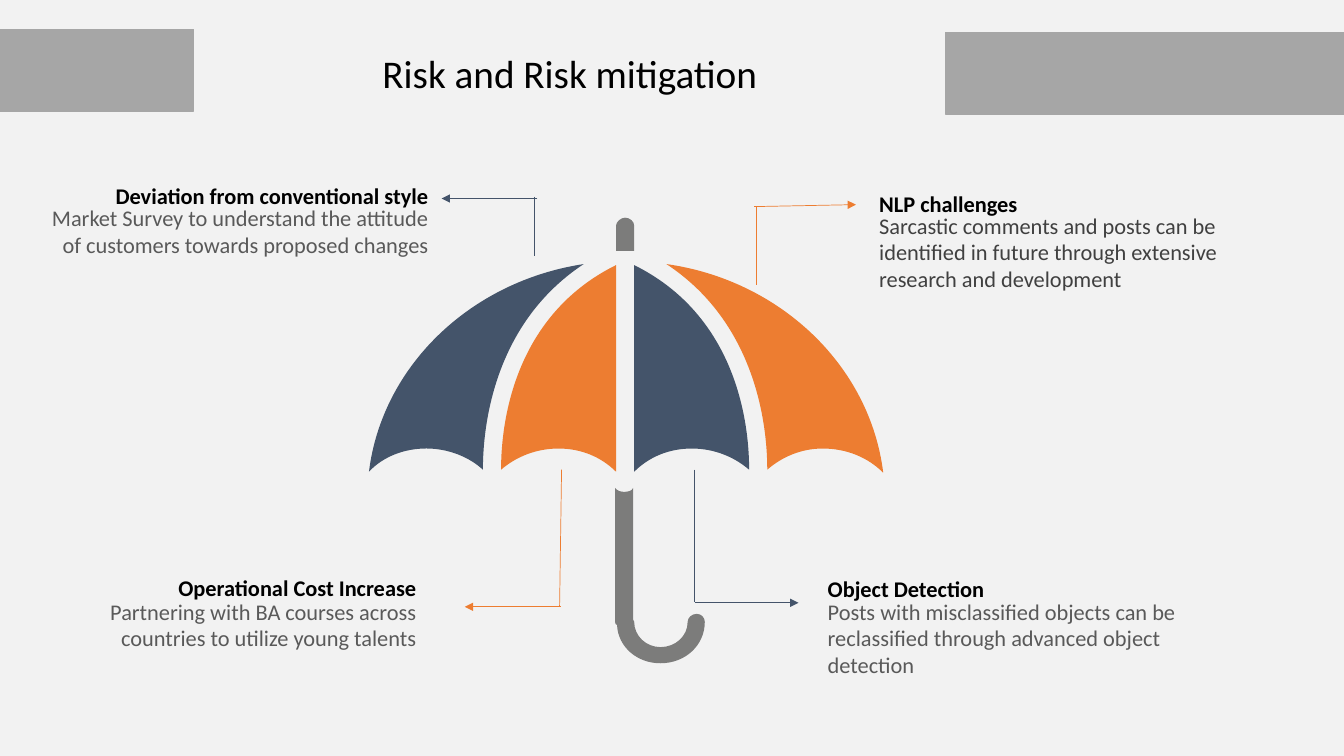
from dataclasses import dataclass

from lxml.etree import SubElement
from pptx import Presentation
from pptx.dml.color import RGBColor
from pptx.enum.shapes import MSO_CONNECTOR, MSO_SHAPE
from pptx.enum.text import MSO_ANCHOR, MSO_AUTO_SIZE, PP_ALIGN
from pptx.oxml.ns import qn
from pptx.util import Inches, Pt


@dataclass(frozen=True)
class Theme:
    font: str = "Calibri"
    title_size: int = 28
    text_size: int = 16
    banner_border: float = 1
    leader_width: float = 0.5
    background: str = "F2F2F2"
    banner: str = "A6A6A6"
    navy: str = "44546A"
    orange: str = "ED7D31"
    handle: str = "7C7C7B"
    heading: str = "000000"
    body: str = "595959"
    dark_body: str = "404040"


THEME = Theme()

# The grid has square cells, one inch wide; positions are (column, row).
COLUMNS, ROWS = 13.33, 7.5
BANNER_HEIGHT = 0.81
LINE_HEIGHT = 0.27
UMBRELLA_AXIS = 6.2

TITLE = "Risk and Risk mitigation"
TITLE_BOX = (1.92, 0.32, 7.46, BANNER_HEIGHT)
BANNERS = [(0, 0.29, 1.92, BANNER_HEIGHT), (9.38, 0.32, 3.96, BANNER_HEIGHT)]

# side of the umbrella, text edge, body colour,
# (heading, top, width), (body, top, width, lines)
CALLOUTS = [
    ("left", 4.13, THEME.body,
     ("Operational Cost Increase", 5.69, 2.81),
     ("Partnering with BA courses across countries to utilize young talents", 5.93, 3.4, 3)),
    ("left", 4.25, THEME.body,
     ("Deviation from conventional style", 1.81, 3.42),
     ("Market Survey to understand the attitude of customers towards proposed changes",
      2.03, 3.94, 3)),
    ("right", 8.72, THEME.dark_body,
     ("NLP challenges", 1.88, 1.39),
     ("Sarcastic comments and posts can be identified in future through extensive "
      "research and development", 2.1, 3.86, 3)),
    ("right", 8.21, THEME.body,
     ("Object Detection", 5.7, 2.27),
     ("Posts with misclassified objects can be reclassified through advanced object detection",
      5.93, 3.86, 4)),
]

# colour, plain leg at the umbrella, leg with an arrowhead at the text
LEADERS = [
    (THEME.orange, (5.57, 4.66, 5.55, 6.02), (5.56, 6.02, 4.61, 6.02)),
    (THEME.navy, (6.89, 4.66, 6.89, 5.97), (6.89, 5.98, 7.92, 5.98)),
    (THEME.navy, (5.3, 1.95, 5.3, 2.54), (5.33, 1.97, 4.38, 1.97)),
    (THEME.orange, (7.5, 2.05, 7.5, 2.83), (7.48, 2.05, 8.49, 2.03)),
]

# An outline is a start point, then steps: a pair is a straight line,
# six numbers are two control points and the end of a curve.
LEFT_PANEL = [
    (4.23, 4.45), (4.01, 4.45, 3.8, 4.53, 3.66, 4.68), (3.79, 3.63, 4.67, 2.79, 5.79, 2.62),
    (4.85, 3.24, 4.79, 4.33, 4.79, 4.66), (4.65, 4.53, 4.44, 4.45, 4.23, 4.45),
]
INNER_PANEL = [
    (5.54, 4.45), (5.32, 4.45, 5.12, 4.53, 4.97, 4.66), (4.97, 4.35, 5.02, 3.17, 6.11, 2.63),
    (6.11, 4.68), (5.96, 4.53, 5.76, 4.45, 5.54, 4.45),
]
RIGHT_PANEL = [
    (8.16, 4.45), (7.95, 4.45, 7.76, 4.53, 7.61, 4.66), (7.61, 4.33, 7.55, 3.24, 6.61, 2.62),
    (7.74, 2.78, 8.63, 3.63, 8.76, 4.69), (8.61, 4.54, 8.4, 4.45, 8.16, 4.45),
]
HANDLE = [
    (6.19, 4.88), (6.16, 4.88, 6.12, 4.87, 6.1, 4.84), (6.1, 6.17),
    (6.1, 6.19, 6.11, 6.2, 6.12, 6.2), (6.13, 6.42, 6.32, 6.58, 6.55, 6.58),
    (6.8, 6.58, 6.99, 6.4, 6.99, 6.17), (6.99, 6.13, 6.96, 6.09, 6.91, 6.09),
    (6.86, 6.09, 6.82, 6.13, 6.82, 6.17), (6.82, 6.31, 6.7, 6.42, 6.55, 6.42),
    (6.41, 6.42, 6.29, 6.31, 6.29, 6.17), (6.29, 6.17, 6.29, 6.16, 6.28, 6.15),
    (6.28, 4.84), (6.27, 4.87, 6.23, 4.88, 6.19, 4.88),
]
TIP = [
    (6.29, 2.49), (6.29, 2.24), (6.29, 2.2, 6.25, 2.16, 6.2, 2.16),
    (6.16, 2.16, 6.11, 2.2, 6.11, 2.24), (6.11, 2.49), (6.29, 2.49),
]


def mirror(outline):
    """Reflect an outline across the umbrella's shaft."""
    return [tuple(2 * UMBRELLA_AXIS - value if i % 2 == 0 else value
                  for i, value in enumerate(step)) for step in outline]


UMBRELLA = [
    (LEFT_PANEL, THEME.navy),
    (INNER_PANEL, THEME.orange),
    (mirror(INNER_PANEL), THEME.navy),
    (RIGHT_PANEL, THEME.orange),
    (HANDLE, THEME.handle),
    (TIP, THEME.handle),
]


def colour(code):
    return RGBColor.from_string(code)


def cells(values):
    return [Inches(value) for value in values]


def paint(shape, code):
    shape.shadow.inherit = False
    shape.fill.solid()
    shape.fill.fore_color.rgb = colour(code)
    shape.line.fill.background()


def add_banner(slide, box):
    banner = slide.shapes.add_shape(MSO_SHAPE.RECTANGLE, *cells(box))
    paint(banner, THEME.banner)
    banner.line.color.rgb = colour(THEME.banner)
    banner.line.width = Pt(THEME.banner_border)


def add_outline(slide, outline, code):
    """Build a polygon through the steps' ends, then bend its curved sides."""
    start, *ends = [cells(step[-2:]) for step in outline]
    builder = slide.shapes.build_freeform(*start)
    builder.add_line_segments(ends, close=True)
    part = builder.convert_to_shape()
    paint(part, code)
    sides = list(part.element.iter(qn("a:lnTo")))
    for side, step in zip(sides, outline[1:]):
        if len(step) == 2:
            continue
        curve = side.makeelement(qn("a:cubicBezTo"))
        values = cells(step)
        for x, y in zip(values[::2], values[1::2]):
            SubElement(curve, qn("a:pt"), x=str(x - part.left), y=str(y - part.top))
        side.getparent().replace(side, curve)


def add_text(shapes, box, words, size, code, align, anchor, bold=False, wrap=True, fitted=True):
    frame = shapes.add_textbox(*cells(box)).text_frame
    frame.word_wrap = wrap
    frame.vertical_anchor = anchor
    if fitted:
        frame.auto_size = MSO_AUTO_SIZE.SHAPE_TO_FIT_TEXT
        frame.margin_left = frame.margin_right = frame.margin_top = frame.margin_bottom = 0
    paragraph = frame.paragraphs[0]
    paragraph.alignment = align
    run = paragraph.add_run()
    run.text = words
    run.font.name, run.font.size, run.font.bold = THEME.font, Pt(size), bold
    run.font.color.rgb = colour(code)


def add_callout(slide, side, edge, body_code, heading, body):
    align = PP_ALIGN.RIGHT if side == "left" else PP_ALIGN.LEFT
    heading_words, heading_top, heading_width = heading
    body_words, body_top, body_width, lines = body

    def left(width):
        return edge - width if side == "left" else edge

    shapes = slide.shapes.add_group_shape().shapes
    add_text(shapes, (left(body_width), body_top, body_width, lines * LINE_HEIGHT),
             body_words, THEME.text_size, body_code, align, MSO_ANCHOR.TOP)
    add_text(shapes, (left(heading_width), heading_top, heading_width, LINE_HEIGHT),
             heading_words, THEME.text_size, THEME.heading, align, MSO_ANCHOR.MIDDLE,
             bold=True, wrap=False)


def add_leg(slide, ends, code, arrow):
    leg = slide.shapes.add_connector(MSO_CONNECTOR.STRAIGHT, *cells(ends))
    leg.line.width = Pt(THEME.leader_width)
    leg.line.color.rgb = colour(code)
    properties = leg.element.spPr
    if arrow:
        SubElement(properties.find(qn("a:ln")), qn("a:tailEnd"), type="triangle")
    SubElement(properties, qn("a:effectLst"))


def main():
    deck = Presentation()
    deck.slide_width, deck.slide_height = cells((COLUMNS, ROWS))
    slide = deck.slides.add_slide(deck.slide_layouts[6])
    slide.background.fill.solid()
    slide.background.fill.fore_color.rgb = colour(THEME.background)

    for box in BANNERS:
        add_banner(slide, box)
    add_text(slide.shapes, TITLE_BOX, TITLE, THEME.title_size, THEME.heading,
             PP_ALIGN.CENTER, MSO_ANCHOR.MIDDLE, fitted=False)
    for outline, code in UMBRELLA:
        add_outline(slide, outline, code)
    for callout in CALLOUTS:
        add_callout(slide, *callout)
    for code, plain_leg, arrow_leg in LEADERS:
        add_leg(slide, plain_leg, code, arrow=False)
        add_leg(slide, arrow_leg, code, arrow=True)
    deck.save("out.pptx")


if __name__ == "__main__":
    main()
